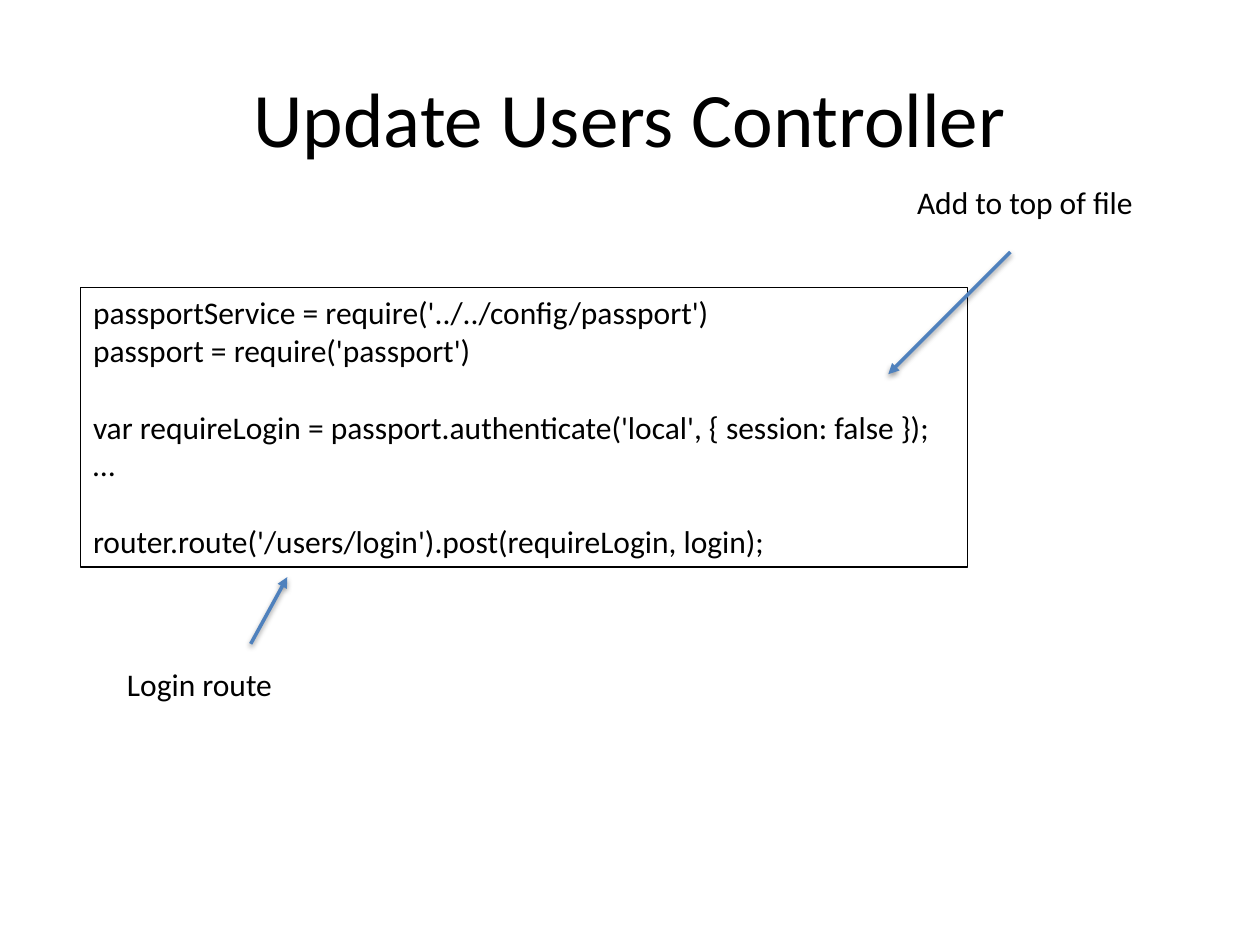
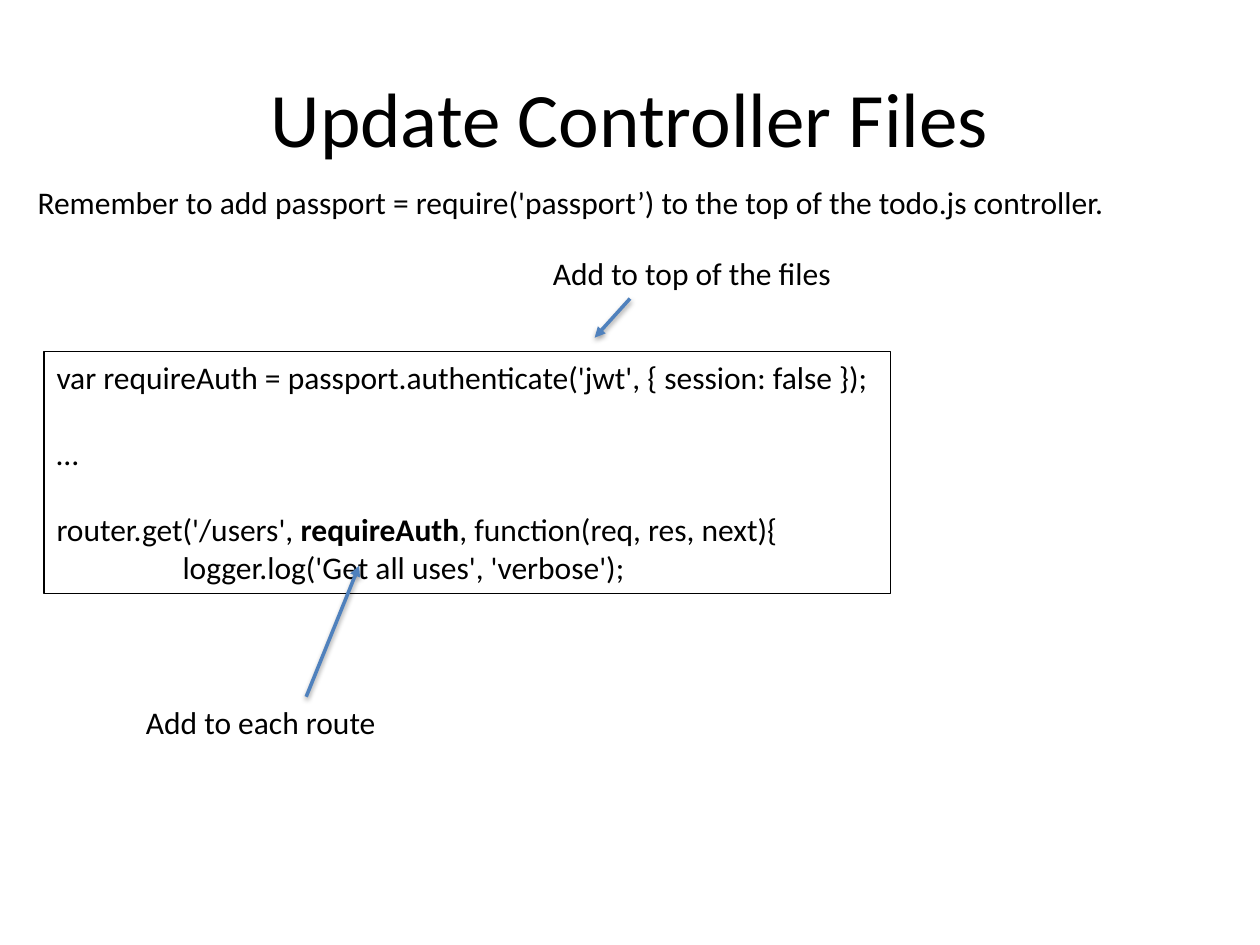
from dataclasses import dataclass

from lxml import etree
from pptx import Presentation
from pptx import util as u
from pptx.dml.color import RGBColor
from pptx.enum import shapes, text
from pptx.oxml import ns


@dataclass(frozen=True)
class Theme:
    font: str = "Calibri"
    ink: RGBColor = RGBColor(0x00, 0x00, 0x00)
    accent: RGBColor = RGBColor(0x4F, 0x81, 0xBD)
    title_size: int = 44
    body_size: int = 18
    blank_line: int = 22
    border: float = 0.75
    arrow: float = 2


@dataclass(frozen=True)
class Line:
    content: str
    after_gap: bool = False
    indent: float = 0


THEME = Theme()


def add_text(slide, lines, left, top, width, height, *, size=THEME.body_size,
             align=text.PP_ALIGN.LEFT, anchor=text.MSO_ANCHOR.TOP, wrap=False, border=None):
    box = slide.shapes.add_textbox(*map(u.Inches, (left, top, width, height)))
    frame = box.text_frame
    frame.word_wrap = wrap
    frame.auto_size = text.MSO_AUTO_SIZE.NONE if wrap else text.MSO_AUTO_SIZE.SHAPE_TO_FIT_TEXT
    frame.vertical_anchor = anchor
    if border:
        box.line.color.rgb = THEME.ink
        box.line.width = u.Pt(border)
    for index, line in enumerate(lines):
        paragraph = frame.add_paragraph() if index else frame.paragraphs[0]
        paragraph.alignment = align
        if line.after_gap:
            paragraph.space_before = u.Pt(THEME.blank_line)
        if line.indent:
            paragraph._p.get_or_add_pPr().set("marL", str(u.Inches(line.indent)))
        for part, words in enumerate(line.content.split("**")):
            run = paragraph.add_run()
            run.text = words
            run.font.name = THEME.font
            run.font.size = u.Pt(size)
            run.font.color.rgb = THEME.ink
            run.font.bold = part % 2 == 1


def add_title(slide, title):
    add_text(slide, [Line(title)], 0.5, 0.3, 9, 1.25, size=THEME.title_size,
             align=text.PP_ALIGN.CENTER, anchor=text.MSO_ANCHOR.MIDDLE, wrap=True)


def add_note(slide, note, left, top, width):
    add_text(slide, [Line(note)], left, top, width, 0.4)


def add_code(slide, lines, left, top, width, height):
    add_text(slide, lines, left, top, width, height, border=THEME.border)


def add_arrow(slide, start, end):
    arrow = slide.shapes.add_connector(
        shapes.MSO_CONNECTOR.STRAIGHT, *map(u.Inches, (*start, *end)))
    arrow.line.color.rgb = THEME.accent
    arrow.line.width = u.Pt(THEME.arrow)
    etree.SubElement(arrow.line._get_or_add_ln(), ns.qn("a:tailEnd"), type="triangle")
    effects = etree.SubElement(arrow._element.spPr, ns.qn("a:effectLst"))
    shadow = etree.SubElement(
        effects, ns.qn("a:outerShdw"), blurRad=str(u.Pt(3.1)), dist=str(u.Pt(1.6)),
        dir="5400000", rotWithShape="0")
    tint = etree.SubElement(shadow, ns.qn("a:srgbClr"), val=str(THEME.ink))
    etree.SubElement(tint, ns.qn("a:alpha"), val="38000")


def add_slide(deck, title):
    slide = deck.slides.add_slide(deck.slide_layouts[6])
    add_title(slide, title)
    return slide


def build_users_controller(deck):
    slide = add_slide(deck, "Update Users Controller")
    add_code(slide, [
        Line("passportService = require('../../config/passport')"),
        Line("passport = require('passport')"),
        Line("var requireLogin = passport.authenticate('local', { session: false });",
             after_gap=True),
        Line("…"),
        Line("router.route('/users/login').post(requireLogin, login);", after_gap=True),
    ], 0.64, 2.28, 7.04, 2.22)
    add_note(slide, "Add to top of file", 7.18, 1.4, 1.94)
    add_arrow(slide, (8.02, 2), (7.05, 2.97))
    add_note(slide, "Login route", 0.91, 5.23, 1.37)
    add_arrow(slide, (1.99, 5.11), (2.28, 4.58))


def build_controller_files(deck):
    slide = add_slide(deck, "Update Controller Files")
    add_code(slide, [
        Line("var requireAuth = passport.authenticate('jwt', { session: false });"),
        Line("…", after_gap=True),
        Line("router.get('/users', **requireAuth**, function(req, res, next){", after_gap=True),
        Line("logger.log('Get all uses', 'verbose');", indent=1),
    ], 0.35, 2.79, 6.72, 1.92)
    add_note(slide, "Add to top of the files", 4.29, 1.97, 2.44)
    add_arrow(slide, (5, 2.37), (4.72, 2.68))
    add_note(slide, "Add to each route", 1.06, 5.53, 2.05)
    add_arrow(slide, (2.43, 5.53), (2.85, 4.49))
    add_note(slide, "Remember to add passport = require('passport’) to the top of the "
             "todo.js controller.", 0.2, 1.4, 8.77)


def main():
    deck = Presentation()
    deck.slide_width, deck.slide_height = u.Inches(10), u.Inches(7.5)
    build_users_controller(deck)
    build_controller_files(deck)
    deck.save("out.pptx")


if __name__ == "__main__":
    main()
